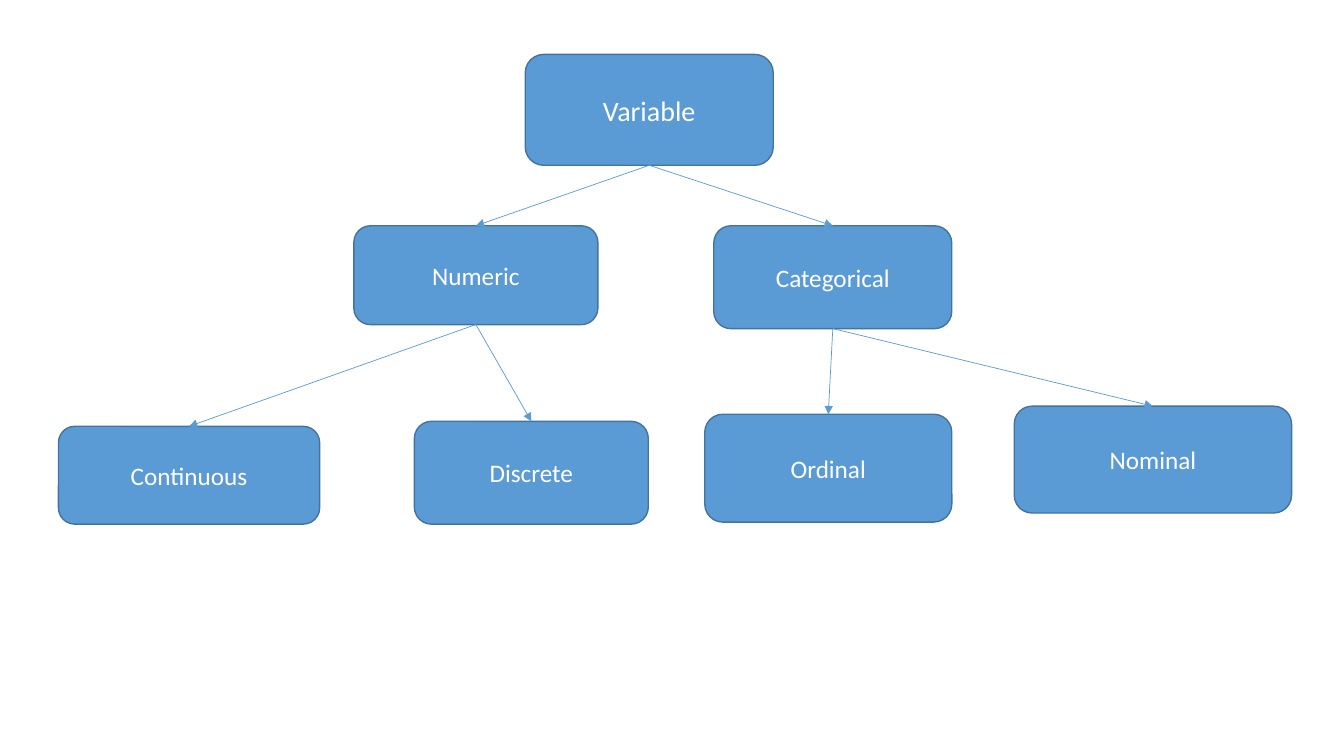
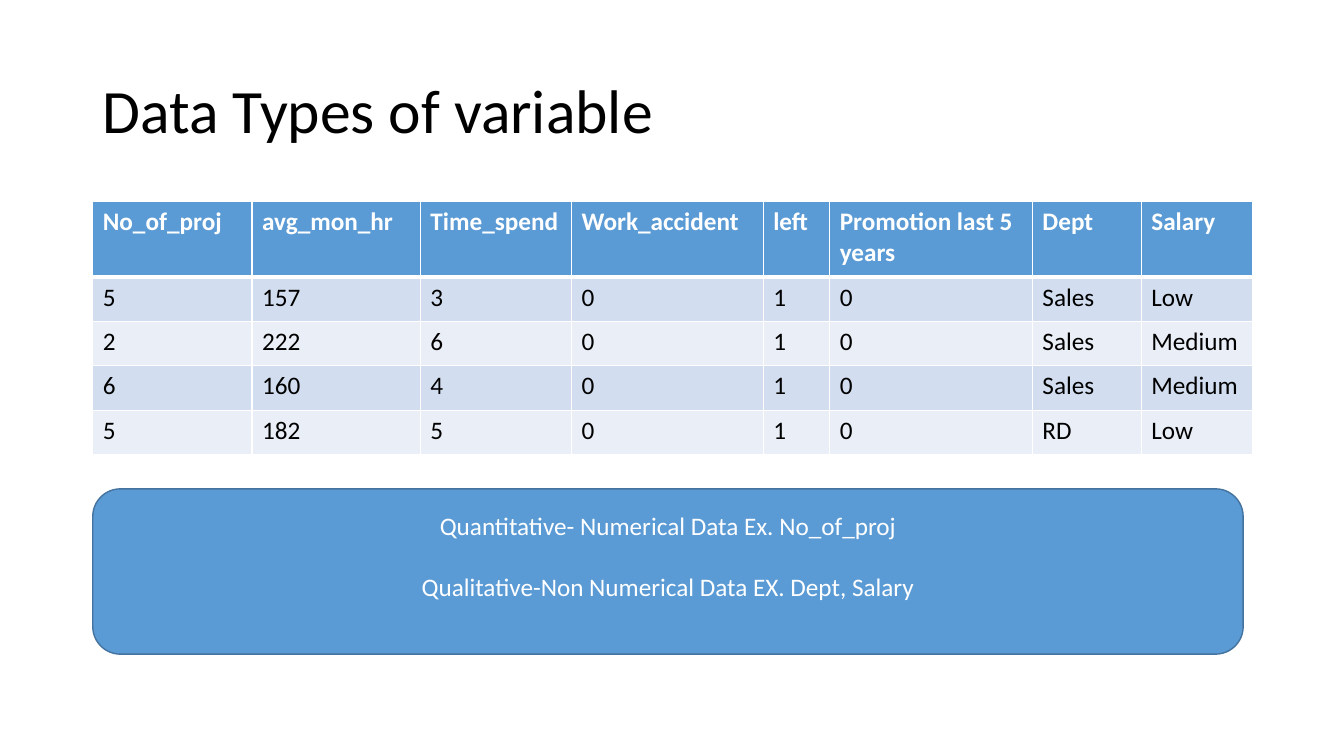
from dataclasses import dataclass

from lxml import etree
from pptx import Presentation
from pptx.dml.color import RGBColor
from pptx.enum.shapes import MSO_CONNECTOR, MSO_SHAPE
from pptx.enum.text import MSO_ANCHOR, PP_ALIGN
from pptx.oxml.ns import qn
from pptx.shapes.autoshape import Shape
from pptx.slide import Slide
from pptx.table import _Cell
from pptx.text.text import _Paragraph
from pptx.util import Emu, Pt

ROUNDED = MSO_SHAPE.ROUNDED_RECTANGLE
STRAIGHT = MSO_CONNECTOR.STRAIGHT
MIDDLE = MSO_ANCHOR.MIDDLE
CENTER = PP_ALIGN.CENTER
TOP_SIDE, BOTTOM_SIDE = 0, 2
EMU_PER_PX = 9144  # 100 px to the inch


@dataclass(frozen=True)
class Theme:
    font: str = "Calibri"
    accent: str = "5B9BD5"
    outline: str = "43739E"
    light: str = "FFFFFF"
    dark: str = "000000"
    bands: tuple[str, str] = ("D2DEEF", "EAEFF7")
    title_size: int = 44
    root_size: int = 20
    body_size: int = 18
    outline_width: float = 1
    arrow_width: float = 0.5
    grid_width: float = 1
    header_rule_width: float = 3


THEME = Theme()


@dataclass(frozen=True)
class Box:
    left: int
    top: int
    width: int
    height: int

    def emu(self) -> tuple[Emu, Emu, Emu, Emu]:
        return px(self.left), px(self.top), px(self.width), px(self.height)


@dataclass(frozen=True)
class Node:
    label: str
    box: Box
    parent: str = ""
    size: int = THEME.body_size


# Slide content
NODES = (
    Node("Variable", Box(521, 54, 246, 110), size=THEME.root_size),
    Node("Numeric", Box(351, 224, 242, 98), "Variable"),
    Node("Categorical", Box(708, 224, 236, 102), "Variable"),
    Node("Continuous", Box(58, 423, 259, 97), "Numeric"),
    Node("Discrete", Box(411, 418, 232, 102), "Numeric"),
    Node("Ordinal", Box(699, 411, 245, 107), "Categorical"),
    Node("Nominal", Box(1006, 403, 275, 106), "Categorical"),
)

TITLE = "Data Types of variable"
TITLE_BOX = Box(92, 40, 1150, 145)
TABLE_LEFT, TABLE_TOP = 92, 200
HEADER_HEIGHT, ROW_HEIGHT = 75, 44
COLUMNS = {
    "No_of_proj": 158,
    "avg_mon_hr": 167,
    "Time_spend": 150,
    "Work_accident": 190,
    "left": 66,
    "Promotion last 5 years": 201,
    "Dept": 108,
    "Salary": 110,
}
RECORDS = (
    ("5", "157", "3", "0", "1", "0", "Sales", "Low"),
    ("2", "222", "6", "0", "1", "0", "Sales", "Medium"),
    ("6", "160", "4", "0", "1", "0", "Sales", "Medium"),
    ("5", "182", "5", "0", "1", "0", "RD", "Low"),
)
SUMMARY_BOX = Box(92, 485, 1141, 164)
SUMMARY_LINES = (
    "Quantitative- Numerical Data Ex. No_of_proj",
    "Qualitative-Non Numerical Data EX. Dept, Salary",
)
SUMMARY_GAP_PT = 22
SUMMARY_BOTTOM_INSET = 36


def px(length: int) -> Emu:
    return Emu(length * EMU_PER_PX)


def rgb(color: str) -> RGBColor:
    return RGBColor.from_string(color)


def set_font(paragraph: _Paragraph, size: int, color: str, bold: bool = False) -> None:
    font = paragraph.font
    font.name = THEME.font
    font.size = Pt(size)
    font.bold = bold
    font.color.rgb = rgb(color)


def add_card(slide: Slide, box: Box, lines: tuple[str, ...], size: int) -> Shape:
    """Rounded accent box with centred light text."""
    card = slide.shapes.add_shape(ROUNDED, *box.emu())
    card.shadow.inherit = False
    card.fill.solid()
    card.fill.fore_color.rgb = rgb(THEME.accent)
    card.line.color.rgb = rgb(THEME.outline)
    card.line.width = Pt(THEME.outline_width)
    frame = card.text_frame
    frame.word_wrap = True
    frame.vertical_anchor = MIDDLE
    frame.text = "\n".join(lines)
    for paragraph in frame.paragraphs:
        paragraph.alignment = CENTER
        set_font(paragraph, size, THEME.light)
    return card


def add_arrow(slide: Slide, parent: Shape, child: Shape) -> None:
    arrow = slide.shapes.add_connector(STRAIGHT, 0, 0, 0, 0)
    arrow.begin_connect(parent, BOTTOM_SIDE)
    arrow.end_connect(child, TOP_SIDE)
    arrow.line.color.rgb = rgb(THEME.accent)
    arrow.line.width = Pt(THEME.arrow_width)
    line = arrow.line._get_or_add_ln()
    etree.SubElement(line, qn("a:tailEnd"), type="triangle")
    etree.SubElement(arrow._element.spPr, qn("a:effectLst"))


def set_borders(cell: _Cell, top: float, bottom: float) -> None:
    properties = cell._tc.get_or_add_tcPr()
    widths = {"L": THEME.grid_width, "R": THEME.grid_width, "T": top, "B": bottom}
    for position, (side, width) in enumerate(widths.items()):
        border = etree.Element(qn(f"a:ln{side}"), w=str(Pt(width)))
        fill = etree.SubElement(border, qn("a:solidFill"))
        etree.SubElement(fill, qn("a:srgbClr"), val=THEME.light)
        properties.insert(position, border)


def add_title(slide: Slide, text: str) -> None:
    frame = slide.shapes.add_textbox(*TITLE_BOX.emu()).text_frame
    frame.word_wrap = True
    frame.vertical_anchor = MIDDLE
    frame.text = text
    heading = frame.paragraphs[0]
    heading.line_spacing = 0.9
    set_font(heading, THEME.title_size, THEME.dark)


def add_records(slide: Slide) -> None:
    rows = (tuple(COLUMNS), *RECORDS)
    height = HEADER_HEIGHT + ROW_HEIGHT * len(RECORDS)
    box = Box(TABLE_LEFT, TABLE_TOP, sum(COLUMNS.values()), height)
    table = slide.shapes.add_table(len(rows), len(COLUMNS), *box.emu()).table
    table.horz_banding = False
    for column, width in zip(table.columns, COLUMNS.values()):
        column.width = px(width)
    for index, values in enumerate(rows):
        header = index == 0
        table.rows[index].height = px(HEADER_HEIGHT if header else ROW_HEIGHT)
        fill = THEME.accent if header else THEME.bands[(index - 1) % 2]
        color = THEME.light if header else THEME.dark
        top = THEME.header_rule_width if index == 1 else THEME.grid_width
        bottom = THEME.header_rule_width if header else THEME.grid_width
        for cell, value in zip(table.rows[index].cells, values):
            cell.text = value
            cell.fill.solid()
            cell.fill.fore_color.rgb = rgb(fill)
            set_font(cell.text_frame.paragraphs[0], THEME.body_size, color, header)
            set_borders(cell, top, bottom)


def build_variable_tree(slide: Slide) -> None:
    cards = {n.label: add_card(slide, n.box, (n.label,), n.size) for n in NODES}
    for node in NODES:
        if node.parent:
            add_arrow(slide, cards[node.parent], cards[node.label])


def build_data_types(slide: Slide) -> None:
    add_title(slide, TITLE)
    add_records(slide)
    # Summary sits above the middle of its box
    summary = add_card(slide, SUMMARY_BOX, SUMMARY_LINES, THEME.body_size).text_frame
    summary.margin_bottom = px(SUMMARY_BOTTOM_INSET)
    summary.paragraphs[1].space_before = Pt(SUMMARY_GAP_PT)


def main() -> None:
    deck = Presentation()
    deck.slide_width, deck.slide_height = px(1333), px(750)
    blank = deck.slide_layouts[6]
    for build in (build_variable_tree, build_data_types):
        build(deck.slides.add_slide(blank))
    deck.save("out.pptx")


if __name__ == "__main__":
    main()
